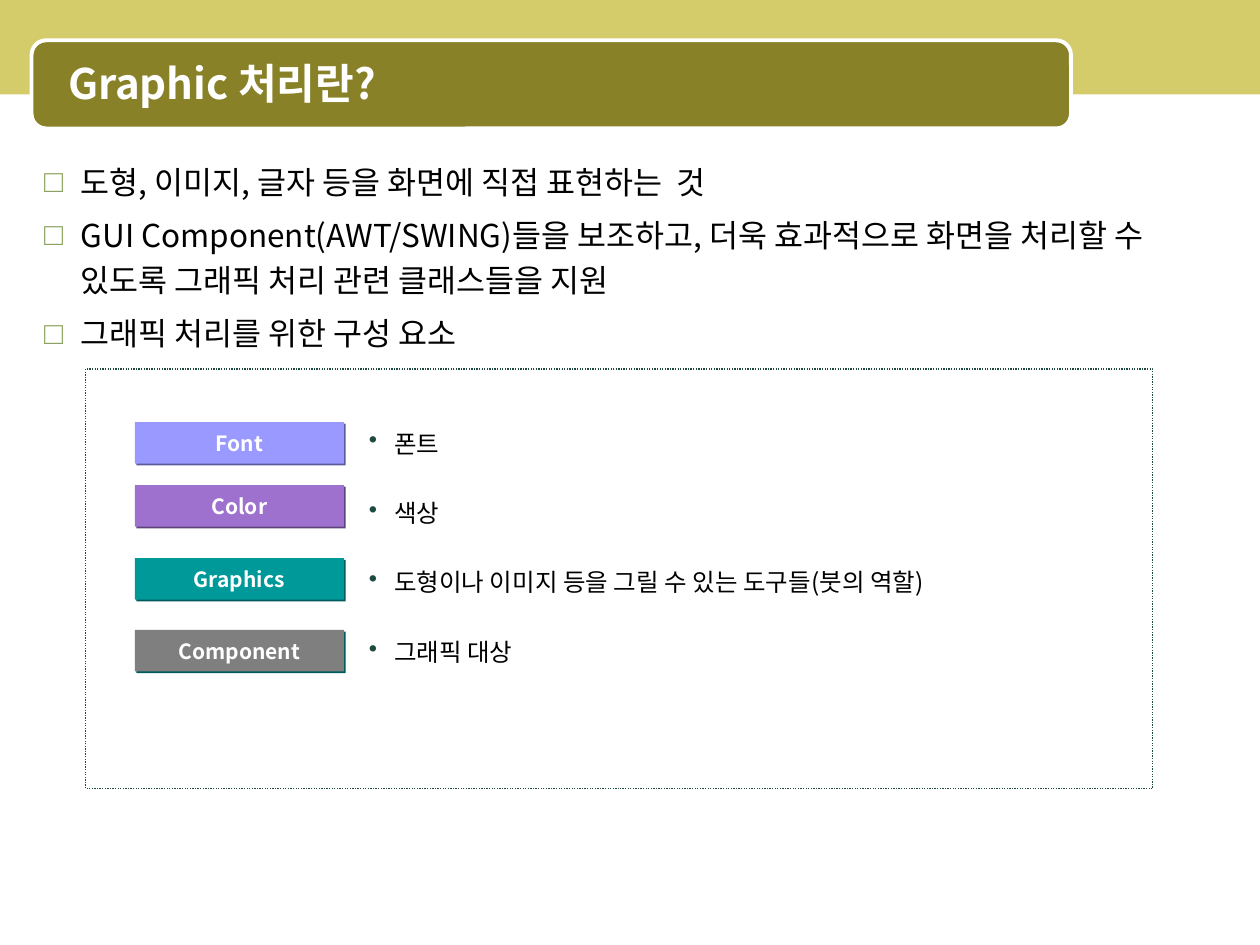
from lxml.etree import SubElement
from pptx import Presentation
from pptx.dml.color import RGBColor
from pptx.enum.dml import MSO_LINE
from pptx.enum.shapes import MSO_SHAPE
from pptx.enum.text import MSO_ANCHOR, MSO_AUTO_SIZE, PP_ALIGN
from pptx.oxml.ns import qn
from pptx.util import Inches, Pt

FONT = "Noto Sans CJK KR"
WHITE = RGBColor(0xFF, 0xFF, 0xFF)
BLACK = RGBColor(0x00, 0x00, 0x00)
KHAKI = RGBColor(0xD4, 0xCC, 0x6A)
OLIVE = RGBColor(0x88, 0x81, 0x28)
SAGE = RGBColor(0x8C, 0xA3, 0x5F)
PINE = RGBColor(0x1D, 0x49, 0x40)
LAVENDER = RGBColor(0x99, 0x99, 0xFF)
LAVENDER_DARK = RGBColor(0x5C, 0x5C, 0x99)
PURPLE = RGBColor(0x9E, 0x71, 0xCF)
PURPLE_DARK = RGBColor(0x5F, 0x44, 0x7C)
TEAL = RGBColor(0x00, 0x99, 0x99)
TEAL_DARK = RGBColor(0x00, 0x5C, 0x5C)
GRAY = RGBColor(0x7F, 0x7F, 0x7F)

POINTS = [
    "도형, 이미지, 글자 등을 화면에 직접 표현하는  것",
    "GUI Component(AWT/SWING)들을 보조하고, 더욱 효과적으로 화면을 처리할 수 있도록 그래픽 처리 관련 클래스들을 지원",
    "그래픽 처리를 위한 구성 요소",
]
LABELS = [
    ("Font", 3.35, LAVENDER, LAVENDER_DARK),
    ("Color", 3.85, PURPLE, PURPLE_DARK),
    ("Graphics", 4.43, TEAL, TEAL_DARK),
    ("Component", 5.0, GRAY, TEAL_DARK),
]
MEANINGS = ["폰트", "색상", "도형이나 이미지 등을 그릴 수 있는 도구들(붓의 역할)", "그래픽 대상"]


def write(p, text, size, color=BLACK, bold=False, align=PP_ALIGN.LEFT, spacing=1.0,
          before=0, margin=0, indent=0, bullet=None, bullet_color=None):
    p.alignment = align
    p.line_spacing = spacing
    p.space_before = Pt(before)
    p.space_after = Pt(0)
    pPr = p._p.get_or_add_pPr()
    pPr.set("marL", str(Inches(margin)))
    pPr.set("indent", str(Inches(indent)))
    if bullet:
        clr = SubElement(pPr, qn("a:buClr"))
        SubElement(clr, qn("a:srgbClr"), val=str(bullet_color))
        SubElement(pPr, qn("a:buChar"), char=bullet)
    r = p.add_run()
    r.text = text
    r.font.name = FONT
    r.font.size = Pt(size)
    r.font.bold = bold
    r.font.color.rgb = color
    SubElement(r._r.get_or_add_rPr(), qn("a:ea"), typeface=FONT)


class Deck:
    def __init__(self, prs):
        self.s = prs.slides.add_slide(prs.slide_layouts[1])

    def place(self, sp, box, anchor):
        sp.left, sp.top, sp.width, sp.height = map(Inches, box)
        tf = sp.text_frame
        tf.word_wrap = True
        tf.auto_size = MSO_AUTO_SIZE.NONE
        tf.vertical_anchor = anchor
        return tf

    def shape(self, box, fill=None, line=None, width=0.75, dash=None,
              kind=MSO_SHAPE.RECTANGLE):
        sp = self.s.shapes.add_shape(kind, *map(Inches, box))
        sp.shadow.inherit = False
        if fill is None:
            sp.fill.background()
        else:
            sp.fill.solid()
            sp.fill.fore_color.rgb = fill
        if line is None:
            sp.line.fill.background()
        else:
            sp.line.color.rgb = line
            sp.line.width = Pt(width)
            sp.line.dash_style = dash
        return sp

    def title(self, text, box):
        sp = self.s.shapes.title
        self.s.shapes._spTree.append(sp._element)
        tf = self.place(sp, box, MSO_ANCHOR.MIDDLE)
        write(tf.paragraphs[0], text, 24, WHITE, True, margin=0.5, indent=-0.39)

    def bullets(self, sp, box, items, size, before, **fmt):
        tf = self.place(sp, box, MSO_ANCHOR.TOP)
        for i, item in enumerate(items):
            p = tf.add_paragraph() if i else tf.paragraphs[0]
            write(p, item, size, before=before if i else 0, **fmt)

    def label(self, text, top, fill, shade):
        sp = self.shape((1.07, top, 1.66, 0.33), fill)
        effects = sp._element.spPr.find(qn("a:effectLst"))
        shadow = SubElement(effects, qn("a:outerShdw"), dist=str(Pt(1.4)),
                            dir=str(45 * 60000), algn="ctr", rotWithShape="0")
        SubElement(shadow, qn("a:srgbClr"), val=str(shade))
        tf = sp.text_frame
        tf.word_wrap = False
        tf.vertical_anchor = MSO_ANCHOR.MIDDLE
        write(tf.paragraphs[0], text, 12, WHITE, True, PP_ALIGN.CENTER)


def main():
    prs = Presentation()
    prs.slide_width, prs.slide_height = Inches(10), Inches(7.5)
    deck = Deck(prs)
    deck.shape((0, 0, 10, 0.75), KHAKI)
    deck.shape((0.25, 0.32, 8.25, 0.7), OLIVE, WHITE, 2.25,
               kind=MSO_SHAPE.ROUNDED_RECTANGLE)
    deck.title("Graphic 처리란?", (0.33, 0.35, 8.08, 0.62))
    deck.bullets(deck.s.placeholders[1], (0.25, 1.18, 9.5, 6.07), POINTS, 18, 4.5,
                 spacing=1.2, margin=0.29, indent=-0.29, bullet="□", bullet_color=SAGE)
    deck.shape((0.68, 2.93, 8.47, 3.33), line=PINE, dash=MSO_LINE.ROUND_DOT)
    for label in LABELS:
        deck.label(*label)
    box = (2.14, 3.34, 7.26, 2.42)
    deck.bullets(deck.s.shapes.add_textbox(*map(Inches, box)), box, MEANINGS, 14, 22,
                 spacing=1.05, margin=0.89, indent=-0.2, bullet="•", bullet_color=PINE)
    prs.save("out.pptx")


if __name__ == "__main__":
    main()
